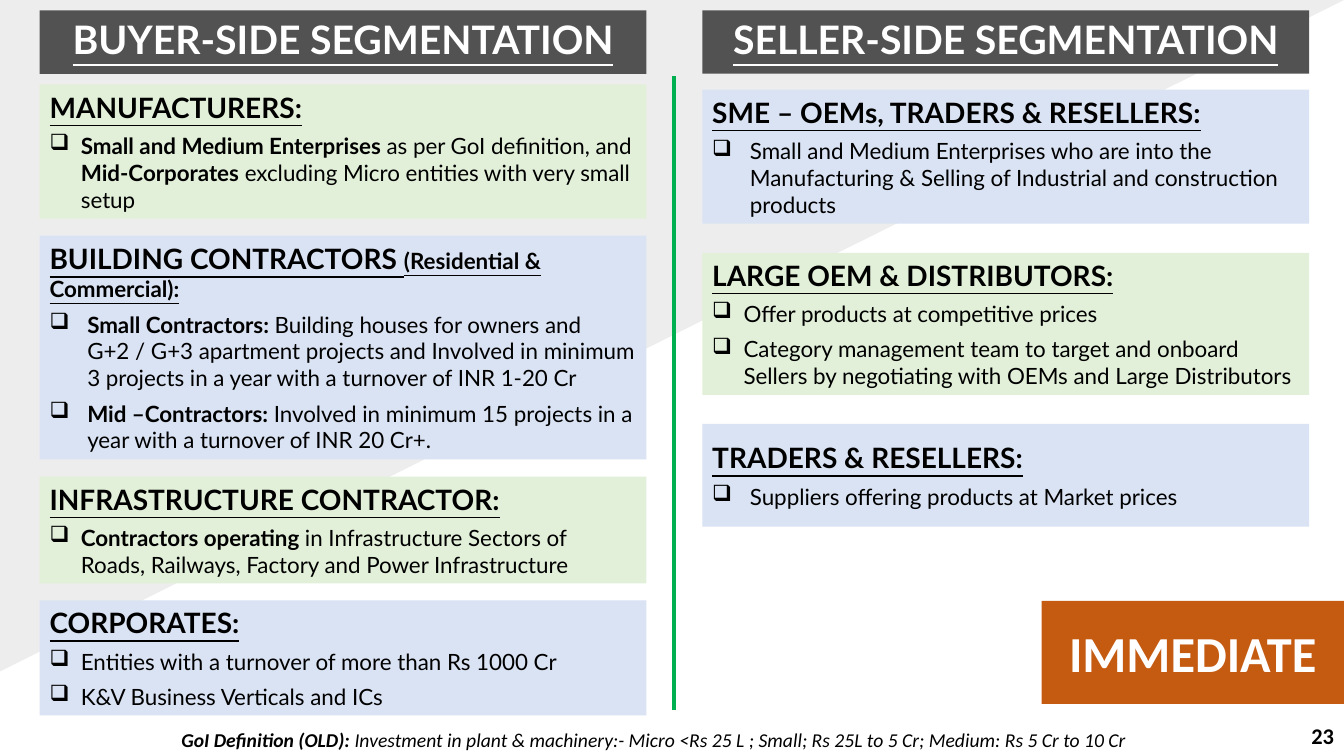
from lxml import etree
from pptx import Presentation
from pptx.dml.color import RGBColor
from pptx.enum import shapes, text
from pptx.oxml import ns
from pptx.util import Cm, Pt

HUES = {"back": "EDEDED", "head": "525252", "green": "E2F0D9", "blue": "DAE3F3",
        "rule": "00B050", "tag": "C55A11", "dark": "000000", "light": "FFFFFF"}

# Card: heading runs (text, size), height, bullet indent, bullets of (text, bold) runs
BUYERS = [
    ([("MANUFACTURERS:", 20)], 3.38, 0.79, [
        [("Small and Medium Enterprises ", True), ("as per GoI definition, and ", False),
         ("Mid-Corporates", True), (" excluding Micro entities with very small setup", False)]]),
    ([("BUILDING CONTRACTORS ", 20), ("(Residential & Commercial):", 16)], 5.64, 0.95, [
        [("Small Contractors: ", True),
         ("Building houses for owners and G+2 / G+3 apartment projects and Involved in "
          "minimum 3 projects in a year with a turnover of INR 1-20 Cr", False)],
        [("Mid –Contractors: ", True),
         ("Involved in minimum 15 projects in a year with a turnover of INR 20 Cr+.", False)]]),
    ([("INFRASTRUCTURE CONTRACTOR:", 20)], 2.69, 0.79, [
        [("Contractors operating ", True),
         ("in Infrastructure Sectors of Roads, Railways, Factory and Power Infrastructure",
          False)]]),
    ([("CORPORATES:", 20)], 2.9, 0.79, [
        [("Entities with a turnover of more than Rs 1000 Cr", False)],
        [("K&V Business Verticals and ICs", False)]]),
]
SELLERS = [
    ([("SME – OEMs, TRADERS & RESELLERS:", 20)], 3.38, 0.95, [
        [("Small and Medium Enterprises who are into the Manufacturing & Selling of "
          "Industrial and construction products", False)]]),
    ([("LARGE OEM & DISTRIBUTORS:", 20)], 3.58, 0.79, [
        [("Offer products at competitive prices", False)],
        [("Category management team to target and onboard Sellers by negotiating with "
          "OEMs and Large Distributors", False)]]),
    ([("TRADERS & RESELLERS:", 20)], 2.59, 0.95, [
        [("Suppliers offering products at Market prices", False)]]),
]
# Column: heading, left, first top, gap, card colours in turn, cards
SIDES = [
    ("BUYER-SIDE SEGMENTATION", 1, 2.13, 0.43, ("green", "blue"), BUYERS),
    ("SELLER-SIDE SEGMENTATION", 17.7, 2.26, 0.73, ("blue", "green"), SELLERS),
]
NOTE = [("GoI Definition (OLD):", True),
        (" Investment in plant & machinery:- Micro <Rs 25 L ; Small; Rs 25L to 5 Cr; "
         "Medium: Rs 5 Cr to 10 Cr", False)]
WIDTH = 15.29


def paint(fill, hue):
    fill.solid()
    fill.fore_color.rgb = RGBColor.from_string(HUES[hue])


def write(para, words, size, bold=True, line=False, hue="dark", face="Lato"):
    run = para.add_run()
    run.text = words
    font = run.font
    font.name, font.size, font.bold, font.underline = face, Pt(size), bold, line
    font.color.rgb = RGBColor.from_string(HUES[hue])
    return font


def block(box, hue):
    new = slide.shapes.add_shape(shapes.MSO_SHAPE.RECTANGLE, *map(Cm, box))
    new.shadow.inherit = False
    new.line.fill.background()
    paint(new.fill, hue)
    return new


def label(box):
    frame = slide.shapes.add_textbox(*map(Cm, box)).text_frame
    frame.word_wrap = True
    return frame


def bullet(para, indent):
    props = para._p.get_or_add_pPr()
    props.set("marL", str(Cm(indent)))
    props.set("indent", str(-Cm(indent)))
    etree.SubElement(props, ns.qn("a:buChar")).set("char", "❑")


def card(box, hue, heads, indent, items):
    frame = block(box, hue).text_frame
    frame.word_wrap = True
    frame.vertical_anchor = text.MSO_ANCHOR.MIDDLE
    for words, size in heads:
        write(frame.paragraphs[0], words, size, line=True)
    for item in items:
        para = frame.add_paragraph()
        bullet(para, indent)
        for words, bold in item:
            write(para, words, 16, bold)
    for para in frame.paragraphs:
        para.alignment = text.PP_ALIGN.LEFT
        para.space_after = Pt(6)


def banner(shape, words):
    frame = shape.text_frame
    frame.auto_size = text.MSO_AUTO_SIZE.NONE
    frame.word_wrap = True
    frame.vertical_anchor = text.MSO_ANCHOR.MIDDLE
    para = frame.paragraphs[0]
    para.alignment = text.PP_ALIGN.CENTER
    para.line_spacing = 0.9
    write(para, words, 28, line=True, hue="light")


deck = Presentation()
deck.slide_width, deck.slide_height = Cm(33.87), Cm(19.05)
slide = deck.slides.add_slide(deck.slide_layouts[5])
title = slide.shapes.title

pen = slide.shapes.build_freeform(0, 0)
pen.add_line_segments([(Cm(33.87), 0), (0, Cm(16.92))])
back = pen.convert_to_shape()
back.shadow.inherit = False
back.line.fill.background()
paint(back.fill, "back")
title._element.addprevious(back._element)

for name, left, top, gap, hues, cards in SIDES:
    box = (left, 0.26, WIDTH, 1.6)
    if cards is BUYERS:
        title.left, title.top, title.width, title.height = map(Cm, box)
        paint(title.fill, "head")
        banner(title, name)
    else:
        banner(block(box, "head"), name)
    for i, (heads, high, indent, items) in enumerate(cards):
        card((left, top, WIDTH, high), hues[i % 2], heads, indent, items)
        top += high + gap

rule = slide.shapes.add_connector(shapes.MSO_CONNECTOR.STRAIGHT,
                                  Cm(16.99), Cm(1.92), Cm(16.99), Cm(17.9))
rule.line.width = Pt(3)
paint(rule.line.fill, "rule")
etree.SubElement(rule._element.spPr, ns.qn("a:effectLst"))

note = label((4.32, 18.21, 25.43, 0.84)).paragraphs[0]
for words, bold in NOTE:
    write(note, words, 14, bold, face="Calibri").italic = True

page = label((26.25, 18.03, 7.62, 1.02))
page.vertical_anchor = text.MSO_ANCHOR.MIDDLE
page.paragraphs[0].alignment = text.PP_ALIGN.RIGHT
write(page.paragraphs[0], "23", 16, face="Calibri")

tag = block((26.25, 15.14, 7.62, 2.6), "tag").text_frame
tag.vertical_anchor = text.MSO_ANCHOR.MIDDLE
tag.paragraphs[0].alignment = text.PP_ALIGN.CENTER
write(tag.paragraphs[0], "IMMEDIATE", 36, hue="light", face="Calibri")

deck.save("out.pptx")
